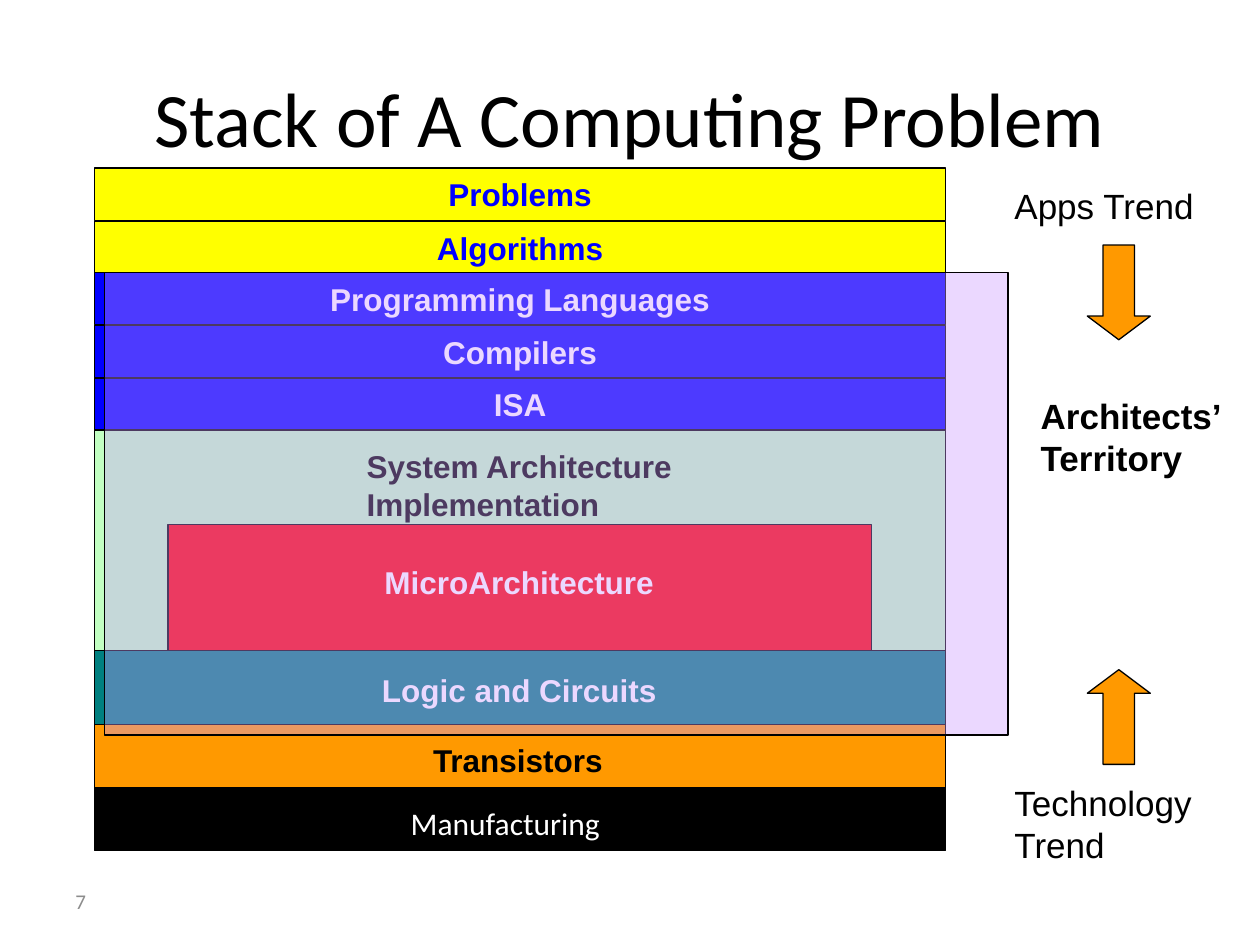
from pptx import Presentation
from pptx.dml.color import RGBColor
from pptx.enum.shapes import MSO_SHAPE
from pptx.enum.text import MSO_ANCHOR, PP_ALIGN
from pptx.oxml.ns import qn
from pptx.util import Cm, Pt
from lxml import etree

RECT, DOWN, UP = MSO_SHAPE.RECTANGLE, MSO_SHAPE.DOWN_ARROW, MSO_SHAPE.UP_ARROW
TOP, MIDDLE = MSO_ANCHOR.TOP, MSO_ANCHOR.MIDDLE
LEFT, CENTER = PP_ALIGN.LEFT, PP_ALIGN.CENTER

THEME = {
    "colors": {
        "black": "000000", "white": "FFFFFF", "gray": "8C8C8C", "yellow": "FFFF00",
        "blue": "0000FF", "green": "00FF00", "red": "FF0000", "teal": "008080",
        "orange": "FF9900", "violet": "CC99FF",
    },
    "text": {
        "title": {"name": "Calibri", "size": Pt(44), "bold": False},
        "layer": {"name": "Arial", "size": Pt(18), "bold": True},
        "base": {"name": "Calibri", "size": Pt(18), "bold": False},
        "territory": {"name": "Arial", "size": Pt(20), "bold": True},
        "trend": {"name": "Arial", "size": Pt(20), "bold": False},
        "number": {"name": "Calibri", "size": Pt(12), "bold": False},
    },
    "line": Pt(0.75),
}

STACK_LEFT, STACK_WIDTH, ROW_HEIGHT = 1.91, 17.15, 1.05
SYSTEM_BLOCK = (STACK_LEFT, 8.68, STACK_WIDTH, 4.45)
MICRO_BLOCK = (3.39, 10.58, 14.18, 2.54)
TERRITORY = (2.11, 5.5, 18.21, 9.32)

ROWS = [
    ("Problems", 3.39, "yellow", "blue"),
    ("Algorithms", 4.47, "yellow", "blue"),
    ("Programming Languages", 5.5, "blue", "white"),
    ("Compilers", 6.56, "blue", "white"),
    ("ISA", 7.62, "blue", "white"),
]
LOWER_LAYERS = [
    (13.12, 1.48, "teal"),
    (14.61, 1.27, "orange"),
    (15.88, 1.27, "black"),
]
LAYER_LABELS = [
    (["MicroArchitecture"], (7.5, 11.22, 5.94, 1.02), "layer", "white"),
    (["System Architecture", "Implementation"], (7.14, 8.89, 6.68, 1.78), "layer", "black"),
    (["Logic and Circuits"], (7.45, 13.41, 6.05, 1.02), "layer", "white"),
    (["Transistors"], (8.48, 14.81, 3.96, 1.02), "layer", "black"),
    (["Manufacturing"], (8.03, 16.09, 4.88, 1.02), "base", "white"),
]
SIDE_LABELS = [
    (["Architects’", "Territory"], (20.73, 7.83, 4.17, 1.96), "territory", "black"),
    (["Apps Trend"], (20.2, 3.6, 4.17, 1.09), "trend", "black"),
    (["Technology", "Trend"], (20.2, 15.62, 4.17, 1.96), "trend", "black"),
]
ARROWS = [(DOWN, 4.94), (UP, 13.5)]


def color(name):
    return RGBColor.from_string(THEME["colors"][name])


def write(sp, lines, style, ink, align=LEFT, anchor=TOP, wrap=False):
    tf = sp.text_frame
    tf.word_wrap, tf.vertical_anchor = wrap, anchor
    for i, line in enumerate(lines):
        p = tf.add_paragraph() if i else tf.paragraphs[0]
        p.alignment = align
        r = p.add_run()
        r.text = line
        for key, value in THEME["text"][style].items():
            setattr(r.font, key, value)
        r.font.color.rgb = color(ink)


def add_block(s, kind, box, fill, alpha=None):
    sp = s.shapes.add_shape(kind, *map(Cm, box))
    sp.shadow.inherit = False
    sp.fill.solid()
    sp.fill.fore_color.rgb = color(fill)
    sp.line.color.rgb = color("black")
    sp.line.width = THEME["line"]
    if alpha:
        clr = sp.fill._xPr.find(qn("a:solidFill"))[0]
        etree.SubElement(clr, qn("a:alpha"), val=str(alpha * 1000))
    return sp


def add_label(s, lines, box, style, ink, **layout):
    write(s.shapes.add_textbox(*map(Cm, box)), lines, style, ink, **layout)


def main():
    prs = Presentation()
    prs.slide_width, prs.slide_height = Cm(25.4), Cm(19.05)
    s = prs.slides.add_slide(prs.slide_layouts[6])

    add_label(s, ["7"], (1.27, 17.65, 5.92, 1.02), "number", "gray",
              anchor=MIDDLE, wrap=True)
    add_block(s, RECT, SYSTEM_BLOCK, "green", 24)
    add_label(s, ["Stack of A Computing Problem"], (1.27, 0.76, 22.86, 3.18),
              "title", "black", align=CENTER, anchor=MIDDLE, wrap=True)
    for text, top, fill, ink in ROWS:
        sp = add_block(s, RECT, (STACK_LEFT, top, STACK_WIDTH, ROW_HEIGHT), fill)
        write(sp, [text], "layer", ink, align=CENTER, anchor=MIDDLE, wrap=True)
    add_block(s, RECT, MICRO_BLOCK, "red")
    for top, height, fill in LOWER_LAYERS:
        add_block(s, RECT, (STACK_LEFT, top, STACK_WIDTH, height), fill)
    for label in LAYER_LABELS:
        add_label(s, *label)
    add_block(s, RECT, TERRITORY, "violet", 38)
    for kind, top in ARROWS:
        sp = add_block(s, kind, (21.92, top, 1.27, 1.91), "orange")
        sp.adjustments[0], sp.adjustments[1] = 0.5, 0.375
    for label in SIDE_LABELS:
        add_label(s, *label)

    prs.save("out.pptx")


if __name__ == "__main__":
    main()
